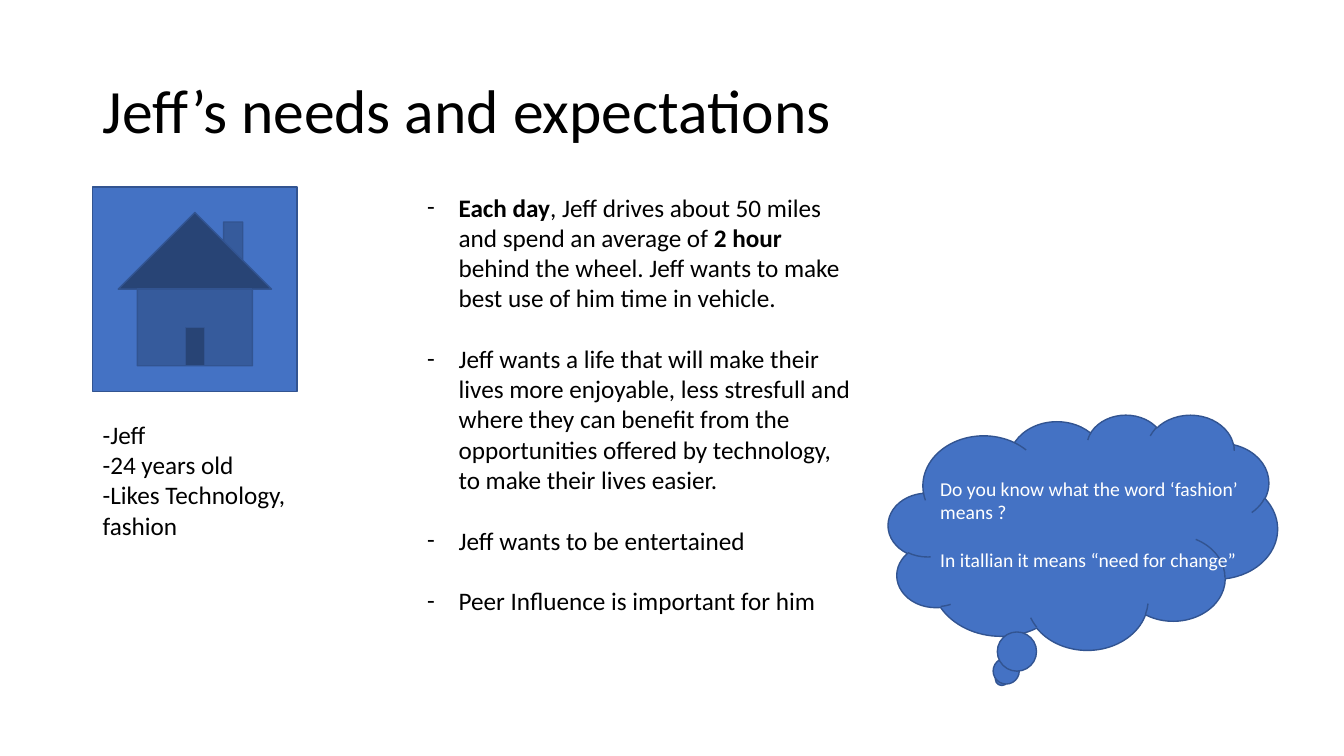
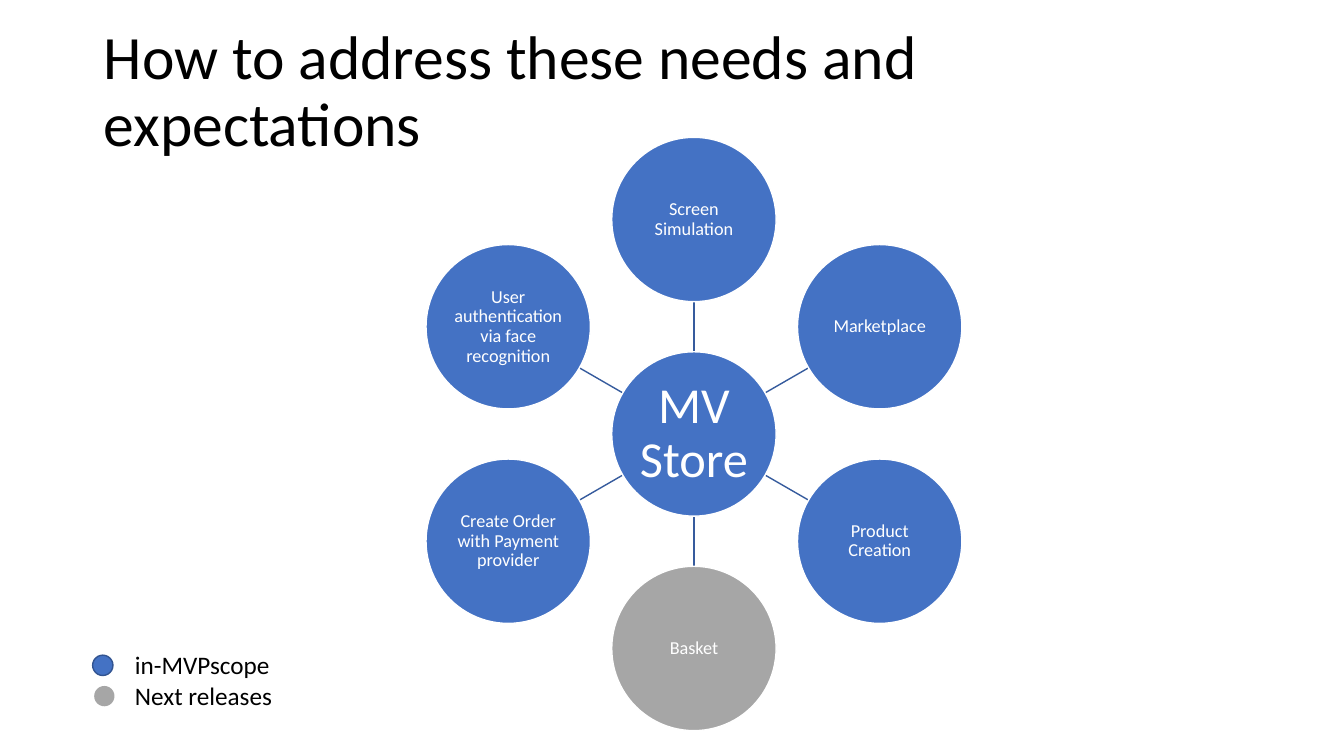
from math import cos, radians, sin

from lxml.etree import SubElement
from pptx import Presentation
from pptx.dml.color import RGBColor
from pptx.enum.shapes import MSO_CONNECTOR, MSO_SHAPE as SHAPE
from pptx.enum.text import MSO_ANCHOR as ANCHOR, PP_ALIGN as ALIGN
from pptx.oxml.ns import qn
from pptx.util import Pt

COLORS = {
    "blue": "4472C4",
    "outline": "325491",
    "spoke": "365B9D",
    "gray": "A6A6A6",
    "white": "FFFFFF",
    "black": "000000",
}
FONT = "Calibri"
TITLE_FORMAT = {"line_spacing": 0.9}
CIRCLE_FORMAT = {"line_spacing": 0.9, "alignment": ALIGN.CENTER}


def write_text(shape, lines, size, color="black", frame_format=None, paragraph_format=None):
    """Fill a shape with paragraphs; parts between ** marks are bold."""
    frame = shape.text_frame
    for name, value in {"word_wrap": True, **(frame_format or {})}.items():
        setattr(frame, name, value)
    for index, line in enumerate(lines):
        paragraph = frame.add_paragraph() if index else frame.paragraphs[0]
        for name, value in (paragraph_format or {}).items():
            # Gaps belong between paragraphs, not above the first one
            if index or name != "space_before":
                setattr(paragraph, name, value)
        for part, text in enumerate(line.split("**")):
            if not text:
                continue
            run = paragraph.add_run()
            run.text = text
            font_format = {"name": FONT, "size": Pt(size), "bold": part % 2 == 1}
            for name, value in font_format.items():
                setattr(run.font, name, value)
            run.font.color.rgb = RGBColor.from_string(COLORS[color])


def add_filled(slide, kind, left, top, width, height, fill="blue", line="outline"):
    """Add a flat preset shape with a solid fill and an optional outline."""
    shape = slide.shapes.add_shape(kind, Pt(left), Pt(top), Pt(width), Pt(height))
    shape.shadow.inherit = False
    shape.fill.solid()
    shape.fill.fore_color.rgb = RGBColor.from_string(COLORS[fill])
    if line:
        shape.line.color.rgb = RGBColor.from_string(COLORS[line])
        shape.line.width = Pt(1)
    else:
        shape.line.fill.background()
    return shape


presentation = Presentation()
presentation.slide_width, presentation.slide_height = Pt(960), Pt(540)

# Slides with their titles
slides = []
for title, left, top in [
    ("Jeff’s needs and expectations", 66.2, 28.8),
    ("How to address these needs and expectations", 67, 14.4),
]:
    slide = presentation.slides.add_slide(presentation.slide_layouts[6])
    box = slide.shapes.add_textbox(Pt(left), Pt(top), Pt(828), Pt(104.4))
    write_text(box, [title], 44, frame_format={"vertical_anchor": ANCHOR.MIDDLE},
               paragraph_format=TITLE_FORMAT)
    slides.append(slide)
needs_slide, features_slide = slides

# Persona: portrait button and thought cloud
add_filled(needs_slide, SHAPE.ACTION_BUTTON_HOME, 66.2, 133.5, 146, 146)
add_filled(needs_slide, SHAPE.CLOUD_CALLOUT, 634.5, 296, 278, 168)
thought = needs_slide.shapes.add_textbox(Pt(664.5), Pt(337), Pt(249), Pt(92))
write_text(thought, [
    "Do you know what the word ‘fashion’ means ?",
    "In itallian it means “need for change”",
], 14, "white", paragraph_format={"space_before": Pt(17)})

profile = needs_slide.shapes.add_textbox(Pt(66.2), Pt(296), Pt(146), Pt(94))
write_text(profile, ["-Jeff", "-24 years old", "-Likes Technology,", "fashion"], 18)

# Dashed list of needs
needs = needs_slide.shapes.add_textbox(Pt(298), Pt(133.5), Pt(318), Pt(316))
write_text(needs, [
    "**Each day**, Jeff drives about 50 miles and spend an average of **2 hour **"
    "behind the wheel. Jeff wants to make best use of him time in vehicle.",
    "Jeff wants a life that will make their lives more enjoyable, less stresfull and "
    "where they can benefit from the opportunities offered by technology, "
    "to make their lives easier.",
    "Jeff wants to be entertained",
    "Peer Influence is important for him",
], 18, paragraph_format={"space_before": Pt(21.8)})
for paragraph in needs.text_frame.paragraphs:
    properties = paragraph._p.get_or_add_pPr()
    properties.set("marL", str(Pt(22.5)))
    properties.set("indent", str(-Pt(22.5)))
    SubElement(properties, qn("a:buFont")).set("typeface", FONT)
    SubElement(properties, qn("a:buChar")).set("char", "-")

# Hub and its features, clockwise from the top
CENTER_X, CENTER_Y, RING, DIAMETER = 495.7, 310, 153.2, 117.4
RADIUS = DIAMETER / 2
FEATURES = [
    ("Screen Simulation", "blue"),
    ("Marketplace", "blue"),
    ("Product Creation", "blue"),
    ("Basket", "gray"),
    ("Create Order with Payment provider", "blue"),
    ("User authentication via face recognition", "blue"),
]
circles = [("MV Store", "blue", 36, 2, CENTER_X, CENTER_Y)]
for index, (label, fill) in enumerate(FEATURES):
    angle = radians(index * 360 / len(FEATURES) - 90)
    across, down = cos(angle), sin(angle)
    circles.append((label, fill, 13, 0.8, CENTER_X + RING * across, CENTER_Y + RING * down))
    # Spoke from the hub's edge to the feature's edge
    start, end = RADIUS, RING - RADIUS
    spoke = features_slide.shapes.add_connector(
        MSO_CONNECTOR.STRAIGHT,
        Pt(CENTER_X + start * across), Pt(CENTER_Y + start * down),
        Pt(CENTER_X + end * across), Pt(CENTER_Y + end * down))
    spoke.line.color.rgb = RGBColor.from_string(COLORS["spoke"])
    spoke.line.width = Pt(1)
    SubElement(spoke._element.spPr, qn("a:effectLst"))

for label, fill, size, inset, x, y in circles:
    circle = add_filled(features_slide, SHAPE.OVAL, x - RADIUS, y - RADIUS,
                        DIAMETER, DIAMETER, fill, "white")
    margins = {f"margin_{side}": Pt(inset) for side in ("left", "top", "right", "bottom")}
    write_text(circle, [label], size, "white", {**margins, "vertical_anchor": ANCHOR.MIDDLE},
               CIRCLE_FORMAT)

# Legend
for row, (label, fill, line, left) in enumerate([
    ("in-MVPscope", "blue", "outline", 66.2),
    ("Next releases", "gray", None, 67.3),
]):
    offset = row * 22
    add_filled(features_slide, SHAPE.OVAL, left, 468 + offset, 14.5, 14.5, fill, line)
    entry = features_slide.shapes.add_textbox(Pt(89.3), Pt(460.2 + offset), Pt(113), Pt(29))
    write_text(entry, [label], 18, frame_format={"word_wrap": False})

presentation.save("out.pptx")
